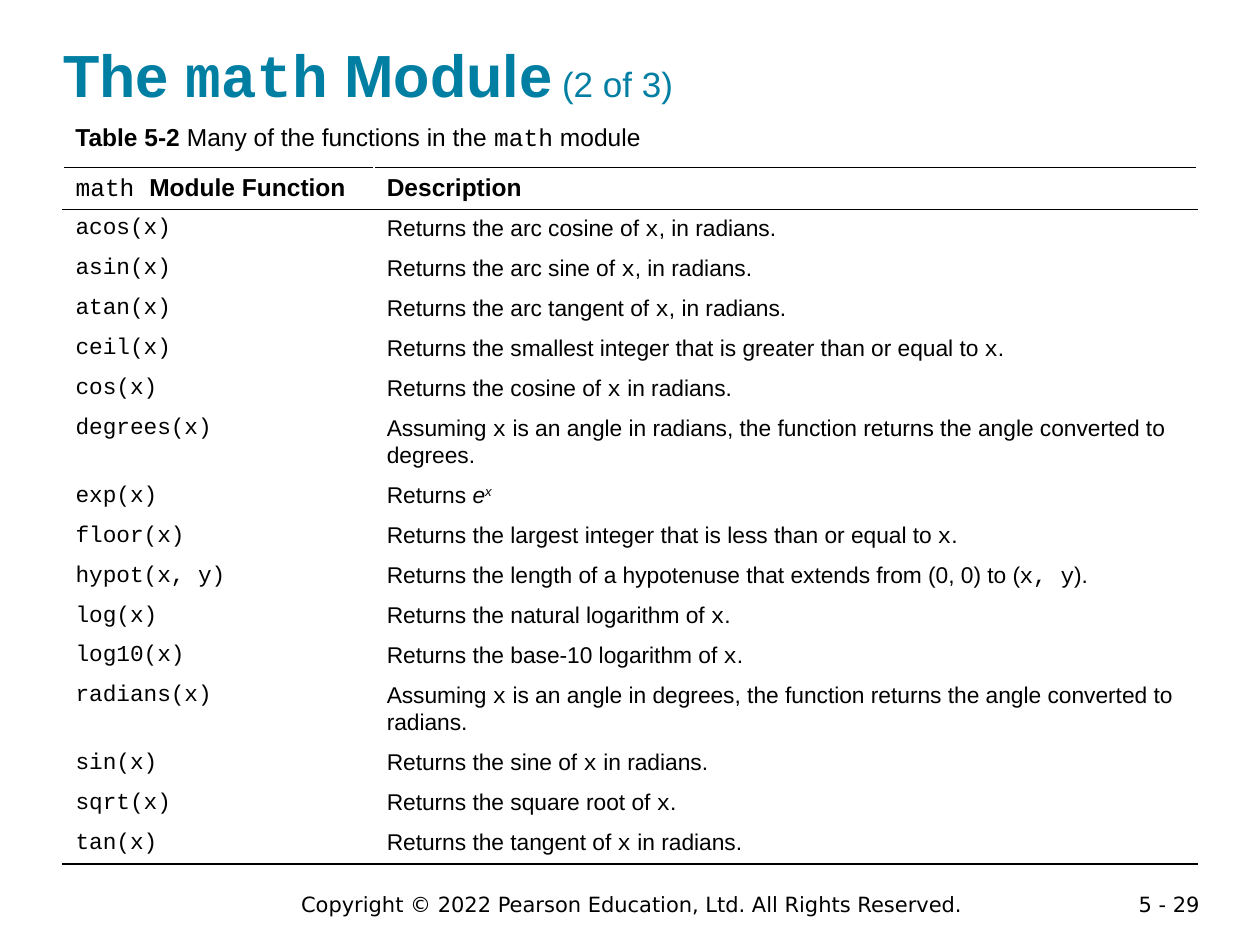
"""Build the slide listing the functions of the math module."""
from lxml.etree import SubElement
from pptx import Presentation
from pptx.dml.color import RGBColor
from pptx.enum.text import MSO_ANCHOR as Anchor, MSO_AUTO_SIZE as AutoSize, PP_ALIGN as Align
from pptx.oxml.ns import qn
from pptx.util import Inches, Pt

TEAL = RGBColor(0x00, 0x7F, 0xA3)
BLACK = RGBColor(0x00, 0x00, 0x00)
WHITE = RGBColor(0xFF, 0xFF, 0xFF)

ROWS = [
    ("`math `Module Function", "Description"),
    ("`acos(x)`", "Returns the arc cosine of `x`, in radians."),
    ("`asin(x)`", "Returns the arc sine of `x`, in radians."),
    ("`atan(x)`", "Returns the arc tangent of `x`, in radians."),
    ("`ceil(x)`", "Returns the smallest integer that is greater than or equal to `x`."),
    ("`cos(x)`", "Returns the cosine of `x` in radians."),
    ("`degrees(x)`", "Assuming `x` is an angle in radians, the function returns the angle converted to degrees."),
    ("`exp(x)`", "Returns `"),
    ("`floor(x)`", "Returns the largest integer that is less than or equal to `x`."),
    ("`hypot(x, y)`", "Returns the length of a hypotenuse that extends from (0, 0) to (`x, y`)."),
    ("`log(x)`", "Returns the natural logarithm of `x`."),
    ("`log10(x)`", "Returns the base-10 logarithm of `x`."),
    ("`radians(x)`", "Assuming `x` is an angle in degrees, the function returns the angle converted to radians."),
    ("`sin(x)`", "Returns the sine of `x` in radians."),
    ("`sqrt(x)`", "Returns the square root of `x`."),
    ("`tan(x)`", "Returns the tangent of `x` in radians."),
]
EXP_ROW = 7


def write(paragraph, text, size, bold=False, color=BLACK, font="Arial"):
    """Add runs to a paragraph, setting the parts between backticks in Courier New."""
    for index, part in enumerate(text.split("`")):
        if part:
            run = paragraph.add_run()
            run.text = part
            run.font.name = "Courier New" if index % 2 else font
            run.font.size = Pt(size)
            run.font.bold = bold
            run.font.color.rgb = color


def add_border(cell, side):
    """Draw a one-point black line on one side of a table cell."""
    line = SubElement(cell._tc.get_or_add_tcPr(), qn(f"a:{side}"), w=str(Pt(1)))
    fill = SubElement(line, qn("a:solidFill"))
    SubElement(fill, qn("a:srgbClr"), val=str(BLACK))


presentation = Presentation()
presentation.slide_width, presentation.slide_height = Inches(10), Inches(7.5)
slide = presentation.slides.add_slide(presentation.slide_layouts[5])

title = slide.shapes.title
title.left, title.top, title.width, title.height = Inches(0.5), Inches(0.25), Inches(9), Inches(0.58)
frame = title.text_frame
frame.auto_size = AutoSize.NONE
frame.vertical_anchor = Anchor.TOP
frame.margin_left = frame.margin_right = frame.margin_bottom = 0
frame.margin_top = Inches(0.05)
paragraph = frame.paragraphs[0]
paragraph.alignment = Align.LEFT
write(paragraph, "The `math` Module", 34, True, TEAL)
write(paragraph, " (2 of 3)", 20, False, TEAL)

caption = slide.shapes.add_textbox(Inches(0.5), Inches(0.92), Inches(5), Inches(0.34))
caption.text_frame.word_wrap = True
paragraph = caption.text_frame.paragraphs[0]
write(paragraph, "Table 5-2 ", 14, True)
write(paragraph, "Many of the functions in the `math` module", 14)

table = slide.shapes.add_table(
    len(ROWS), 2, Inches(0.5), Inches(1.33), Inches(9), Inches(5.52)
).table
table.first_row = table.horz_banding = False
table.columns[0].width = Inches(2.47)
table.columns[1].width = Inches(6.53)
for row_index, texts in enumerate(ROWS):
    is_header = row_index == 0
    table.rows[row_index].height = Inches(0.33 if is_header else 0.31)
    for column_index, text in enumerate(texts):
        cell = table.cell(row_index, column_index)
        if row_index <= 1:
            add_border(cell, "lnT")
        if row_index in (0, len(ROWS) - 1):
            add_border(cell, "lnB")
        cell.fill.solid()
        cell.fill.fore_color.rgb = WHITE
        write(cell.text_frame.paragraphs[0], text, 14 if is_header else 13, is_header)

table.cell(0, 0).text_frame.paragraphs[0].runs[0].font.bold = False
power = table.cell(EXP_ROW, 1).text_frame.paragraphs[0]
write(power, "e", 13)
write(power, "x", 13)
for run in power.runs[1:]:
    run.font.italic = True
power.runs[-1].font._element.set("baseline", "30000")

for text, left, width, height, alignment in [
    ("Copyright © 2022 Pearson Education, Ltd. All Rights Reserved.", 1.64, 6.75, 0.5, Align.CENTER),
    ("5 - 29", 8.62, 1, 0.22, Align.RIGHT),
]:
    footer = slide.shapes.add_textbox(Inches(left), Inches(7.03), Inches(width), Inches(height))
    footer.text_frame.word_wrap = True
    paragraph = footer.text_frame.paragraphs[0]
    paragraph.alignment = alignment
    write(paragraph, text, 12, font="DejaVu Sans")

presentation.save("out.pptx")
